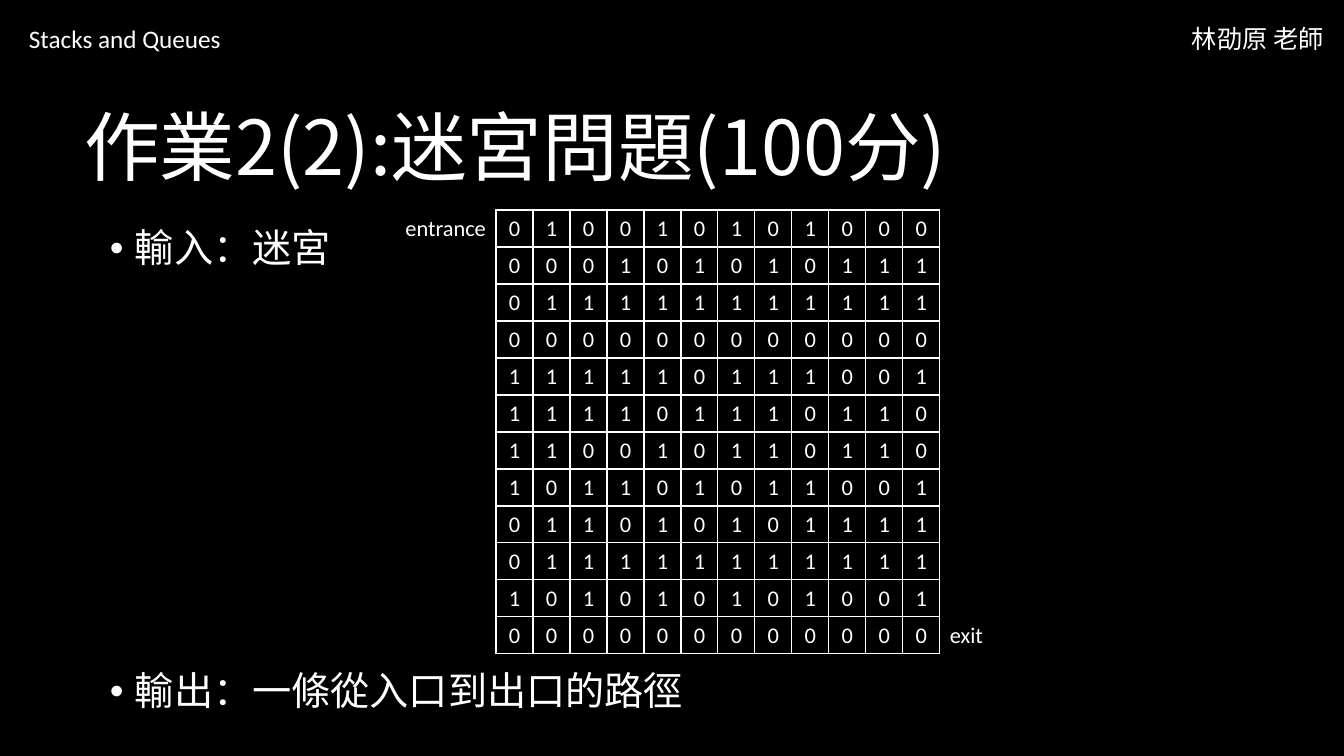
from typing import NamedTuple

from lxml.etree import SubElement
from pptx import Presentation
from pptx.dml.color import RGBColor
from pptx.enum.text import MSO_ANCHOR as Anchor, MSO_AUTO_SIZE as Fit, PP_ALIGN as Align
from pptx.oxml.ns import qn
from pptx.util import Emu, Pt

SCALE = 914400 / 100.8
BLACK = RGBColor(0, 0, 0)
WHITE = RGBColor(255, 255, 255)
LATIN = "Calibri"
CJK = "Noto Sans CJK SC"
NO_GRID = "{2D5ABB26-0587-4C30-8999-92F81FD0307C}"

CELL = 37
ENTRY, EXIT = 115, 131
MAZE = [
    "010010101000",
    "000101010111",
    "011111111111",
    "000000000000",
    "111110111001",
    "111101110110",
    "110010110110",
    "101101011001",
    "011010101111",
    "011111111111",
    "101010101001",
    "000000000000",
]


class Box(NamedTuple):
    left: int
    top: int
    width: int
    height: int


class Label(NamedTuple):
    text: str
    box: Box


TITLE = Label("作業2(2):迷宮問題(100分)", Box(74, 78, 1207, 146))
HEADS = [
    Label("Stacks and Queues", Box(19, 18, 215, 40)),
    Label("林劭原 老師", Box(1182, 18, 153, 40)),
]
BODY = Box(100, 224, 1159, 528)
BULLETS = [("輸入：迷宮", 10), ("輸出：一條從入口到出口的路徑", 286)]


def px(n: int) -> Emu:
    return Emu(round(n * SCALE))


def place(box: Box) -> list[Emu]:
    return [px(n) for n in box]


def style(para, size: int, face: str = LATIN) -> None:
    """Format every run of a paragraph, East Asian face included."""
    for run in para.runs:
        font = run.font
        font.size, font.name = Pt(size), face
        font.color.rgb = WHITE
        SubElement(font._element, qn("a:ea"), typeface=CJK)


def add_title(slide) -> None:
    title = slide.shapes.title
    title.left, title.top, title.width, title.height = place(TITLE.box)
    frame = title.text_frame
    frame.text = TITLE.text
    frame.auto_size = Fit.NONE
    frame.vertical_anchor = Anchor.MIDDLE
    para = frame.paragraphs[0]
    para.alignment, para.line_spacing = Align.LEFT, 0.9
    style(para, 54, CJK)


def add_bullets(slide) -> None:
    frame = slide.shapes.add_textbox(*place(BODY)).text_frame
    frame.word_wrap = True
    frame.text = "\n".join(text for text, _ in BULLETS)
    for para, (_, gap) in zip(frame.paragraphs, BULLETS):
        para.line_spacing, para.space_before = 0.9, Pt(gap)
        style(para, 28)
        props = para._p.get_or_add_pPr()
        props.set("marL", str(px(25)))
        props.set("indent", str(px(-25)))
        SubElement(props, qn("a:buFont"), typeface="Arial")
        SubElement(props, qn("a:buChar"), char="•")


def add_head(slide, head: Label) -> None:
    frame = slide.shapes.add_textbox(*place(head.box)).text_frame
    frame.word_wrap = False
    frame.auto_size = Fit.SHAPE_TO_FIT_TEXT
    frame.text = head.text
    style(frame.paragraphs[0], 18)


def fill_cell(cell, text: str, align: Align, sides: str) -> None:
    cell.text = text
    cell.vertical_anchor = Anchor.MIDDLE
    cell.margin_top = cell.margin_bottom = 0
    para = cell.text_frame.paragraphs[0]
    para.alignment = align
    style(para, 16)
    props = cell._tc.get_or_add_tcPr()
    for side in sides:
        line = SubElement(props, qn(f"a:ln{side}"), w=str(Pt(1)))
        fill = SubElement(line, qn("a:solidFill"))
        SubElement(fill, qn("a:srgbClr"), val=str(WHITE))
    cell.fill.background()


def add_maze(slide) -> None:
    rows, cols = len(MAZE), len(MAZE[0])
    widths = [ENTRY] + [CELL] * cols + [EXIT]
    box = Box(381, 210, sum(widths), CELL * rows)
    table = slide.shapes.add_table(rows, len(widths), *place(box)).table
    table.first_row = table.horz_banding = False
    table._tbl.tblPr.find(qn("a:tableStyleId")).text = NO_GRID
    for col, width in zip(table.columns, widths):
        col.width = px(width)
    for r, digits in enumerate(MAZE):
        table.rows[r].height = px(CELL)
        fill_cell(table.cell(r, 0), "entrance" if r == 0 else "", Align.RIGHT, "R")
        for c, digit in enumerate(digits, 1):
            fill_cell(table.cell(r, c), digit, Align.CENTER, "LRTB")
        last = "exit" if r == rows - 1 else ""
        fill_cell(table.cell(r, cols + 1), last, Align.LEFT, "L")


def main() -> None:
    deck = Presentation()
    deck.slide_width, deck.slide_height = px(1344), px(756)
    slide = deck.slides.add_slide(deck.slide_layouts[5])
    back = slide.background.fill
    back.solid()
    back.fore_color.rgb = BLACK
    add_title(slide)
    add_bullets(slide)
    for head in HEADS:
        add_head(slide, head)
    add_maze(slide)
    deck.save("out.pptx")


if __name__ == "__main__":
    main()
